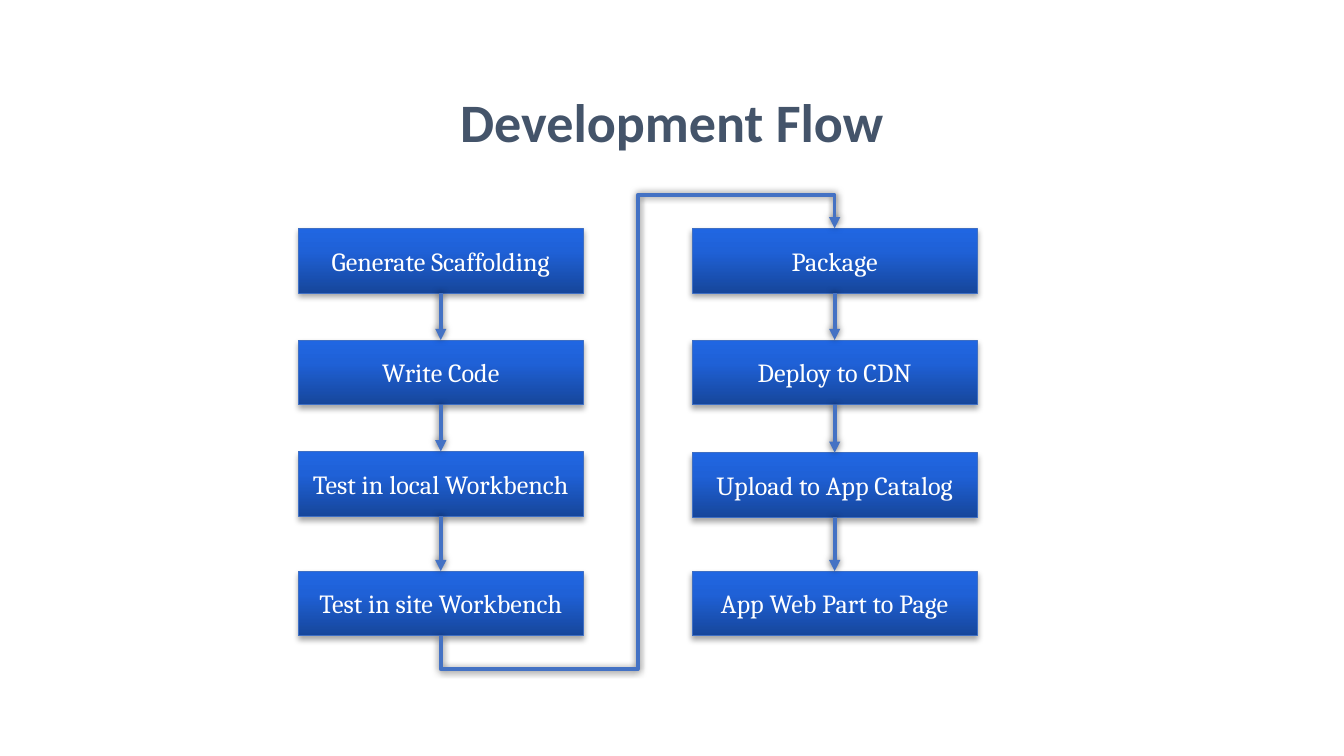
from itertools import pairwise

from lxml.etree import SubElement
from pptx import Presentation
from pptx.dml.color import RGBColor
from pptx.enum.shapes import MSO_CONNECTOR, MSO_SHAPE
from pptx.enum.text import MSO_ANCHOR, PP_ALIGN
from pptx.oxml.ns import qn
from pptx.util import Pt

STEP_WIDTH, STEP_HEIGHT = 152.7, 34.6
TOP_SIDE, BOTTOM_SIDE = 0, 2
GRADIENT = [(0, "16469B"), (65, "1F61D7"), (100, "2066E2")]
BUILD_STEPS = ["Generate Scaffolding", "Write Code",
               "Test in local Workbench", "Test in site Workbench"]
RELEASE_STEPS = ["Package", "Deploy to CDN",
                 "Upload to App Catalog", "App Web Part to Page"]


def color(hex_code):
    """Turn a hex string into a colour."""
    return RGBColor.from_string(hex_code)


def add_child(parent, tag, **attributes):
    """Add an XML child with the given attributes."""
    return SubElement(parent, qn(tag), {k: str(v) for k, v in attributes.items()})


def add_color(parent, hex_code):
    """Add an XML colour to a gradient stop or shadow."""
    return add_child(parent, "a:srgbClr", val=hex_code)


def cast_shadow(properties, opacity, blur, distance, angle):
    """Give a shape or connector an outer shadow."""
    effects = properties.find(qn("a:effectLst"))
    if effects is None:
        effects = add_child(properties, "a:effectLst")
    shadow = add_child(effects, "a:outerShdw", blurRad=Pt(blur), dist=Pt(distance),
                       dir=angle * 60000, algn="ctr", rotWithShape=0)
    add_child(add_color(shadow, "000000"), "a:alpha", val=opacity * 1000)


def write(frame, words, font, size, hex_code, bold=False):
    """Write one centred run into a text frame."""
    frame.vertical_anchor = MSO_ANCHOR.MIDDLE
    paragraph = frame.paragraphs[0]
    paragraph.alignment = PP_ALIGN.CENTER
    run = paragraph.add_run()
    run.text = words
    run.font.name, run.font.size, run.font.bold = font, Pt(size), bold
    run.font.color.rgb = color(hex_code)


def place_title(slide, left, top, width, height):
    """Place and fill the slide title."""
    title = slide.shapes.title
    title.left, title.top = Pt(left), Pt(top)
    title.width, title.height = Pt(width), Pt(height)
    write(title.text_frame, "Development Flow", "Calibri", 29, "44546A", True)


def add_step(slide, words, left, top, width, height):
    """Add one step box with gradient and shadow."""
    step = slide.shapes.add_shape(MSO_SHAPE.RECTANGLE, Pt(left), Pt(top),
                                  Pt(width), Pt(height))
    properties = step._element.spPr
    gradient = add_child(properties, "a:gradFill", rotWithShape=1)
    stops = add_child(gradient, "a:gsLst")
    for position, hex_code in GRADIENT:
        add_color(add_child(stops, "a:gs", pos=position * 1000), hex_code)
    add_child(gradient, "a:lin", ang=270 * 60000, scaled=0)
    step.line.color.rgb = color("3F6FC3")
    step.line.width = Pt(0.5)
    step.shadow.inherit = False
    cast_shadow(properties, 35, 3.1, 2, 90)
    write(step.text_frame, words, "Cambria", 14, "FFFFFF")
    return step


def add_arrow(slide, source, target, kind=MSO_CONNECTOR.STRAIGHT):
    """Connect the bottom of one step to the top of another."""
    arrow = slide.shapes.add_connector(kind, 0, 0, 0, 0)
    arrow.begin_connect(source, BOTTOM_SIDE)
    arrow.end_connect(target, TOP_SIDE)
    arrow.line.color.rgb = color("4472C4")
    arrow.line.width = Pt(2)
    add_child(arrow.line._get_or_add_ln(), "a:tailEnd", type="triangle")
    cast_shadow(arrow._element.spPr, 64, 4, 0, 0)
    return arrow


def add_column(slide, steps, left, tops):
    """Add a column of steps joined by downward arrows."""
    boxes = [add_step(slide, words, left, top, STEP_WIDTH, STEP_HEIGHT)
             for words, top in zip(steps, tops)]
    for source, target in pairwise(boxes):
        add_arrow(slide, source, target)
    return boxes


def add_return_arrow(slide, source, target, overshoot):
    """Lead from the foot of one column to the head of the next."""
    arrow = add_arrow(slide, source, target, MSO_CONNECTOR.ELBOW)
    start_x, start_y = source.left + source.width // 2, source.top + source.height
    end_x, end_y = target.left + target.width // 2, target.top
    run, rise = end_x - start_x, start_y - end_y
    arrow.left = (start_x + end_x - rise) // 2
    arrow.top = (start_y + end_y - run) // 2
    arrow.width, arrow.height = rise, run
    properties = arrow._element.spPr
    frame = properties.find(qn("a:xfrm"))
    for name, value in (("rot", 90 * 60000), ("flipH", 1), ("flipV", 1)):
        frame.set(name, str(value))
    geometry = properties.find(qn("a:prstGeom"))
    geometry.set("prst", "bentConnector5")
    guides = geometry.find(qn("a:avLst"))
    if guides is None:
        guides = add_child(geometry, "a:avLst")
    beyond = round(Pt(overshoot) / rise * 100000)
    for number, value in enumerate((-beyond, 50000, 100000 + beyond), 1):
        add_child(guides, "a:gd", name=f"adj{number}", fmla=f"val {value}")


def main():
    """Build the development flow slide."""
    deck = Presentation()
    deck.slide_width, deck.slide_height = Pt(720), Pt(405)
    slide = deck.slides.add_slide(deck.slide_layouts[5])
    place_title(slide, 36, 31, 648, 67.7)
    build = add_column(slide, BUILD_STEPS, 159.8, (122.4, 182.2, 241.9, 306))
    release = add_column(slide, RELEASE_STEPS, 370.8, (122.4, 182.2, 242.6, 306))
    add_return_arrow(slide, build[-1], release[0], 18)
    deck.save("out.pptx")


if __name__ == "__main__":
    main()
